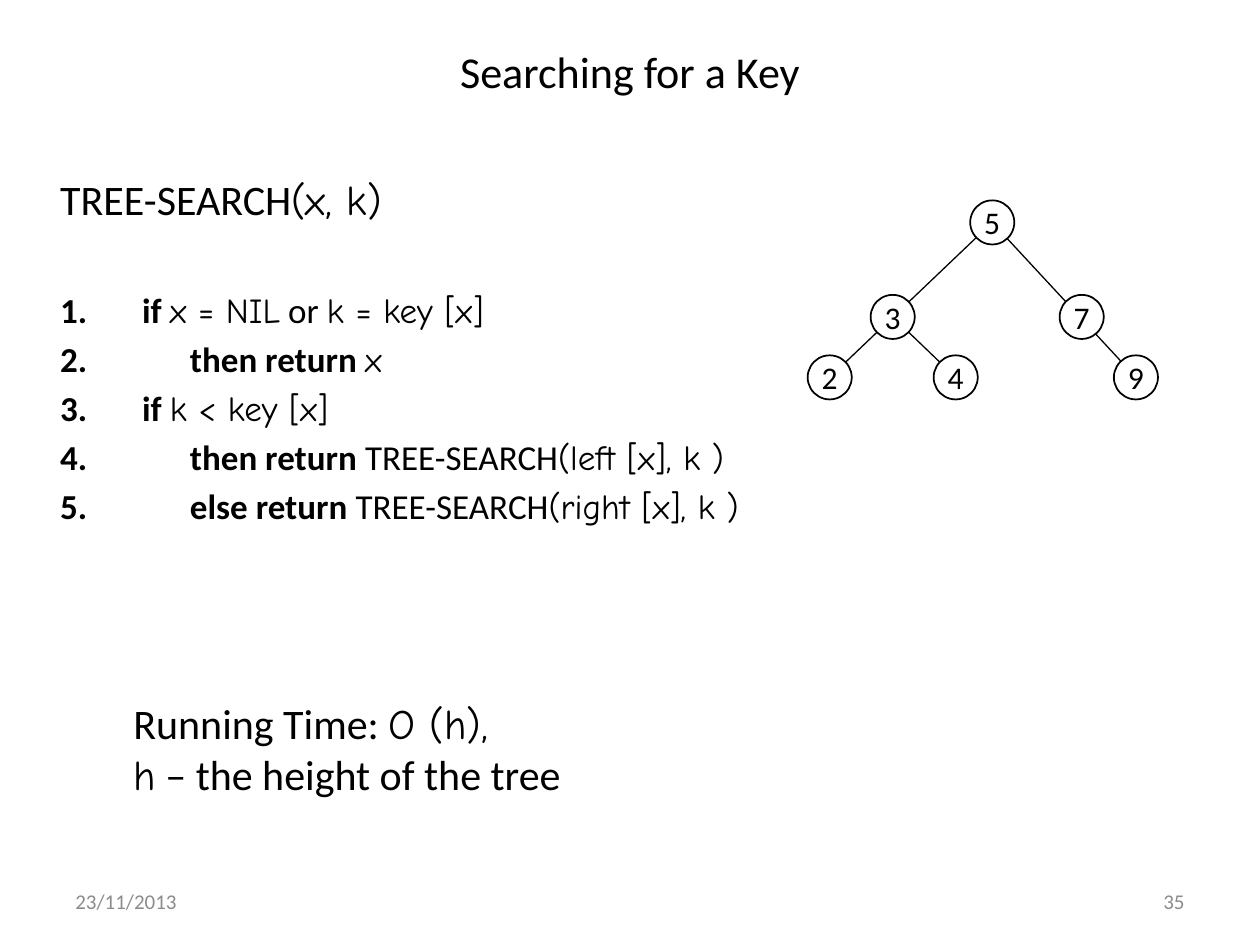
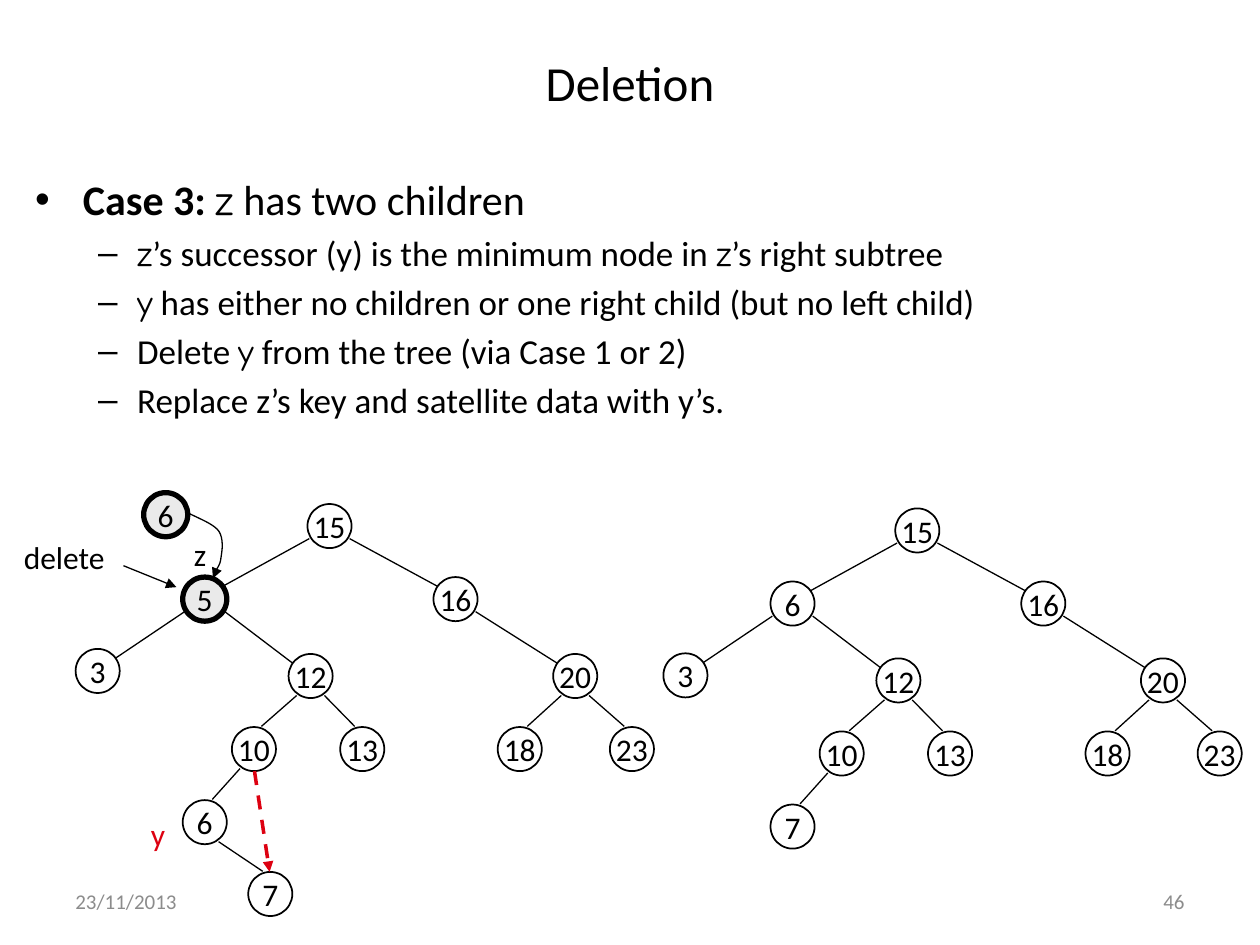
from lxml import etree
from pptx import Presentation
from pptx.dml.color import RGBColor
from pptx.enum.dml import MSO_LINE
from pptx.enum.shapes import MSO_CONNECTOR, MSO_SHAPE
from pptx.enum.text import MSO_ANCHOR, PP_ALIGN
from pptx.oxml.ns import qn
from pptx.util import Inches, Pt

LEFT, CENTER, RIGHT = PP_ALIGN.LEFT, PP_ALIGN.CENTER, PP_ALIGN.RIGHT
TOP, MIDDLE = MSO_ANCHOR.TOP, MSO_ANCHOR.MIDDLE
OVAL, STRAIGHT, DASH = MSO_SHAPE.OVAL, MSO_CONNECTOR.STRAIGHT, MSO_LINE.DASH

SANS, HAND = "Calibri", "Comic Neue"
BLACK, WHITE, GREY, PALE, RED = "000000", "FFFFFF", "8C8C8C", "EAEAEA", "DD0111"
COLUMNS, ROWS = 100, 75
NODE = 3.5


def color(value):
    """Turn a hex string into a colour."""
    return RGBColor.from_string(value)


def bold(text):
    """Mark a span as bold."""
    return text, SANS, True


def hand(text):
    """Mark a span as handwritten."""
    return text, HAND, False


class Deck:
    """Hold the shared style and the current slide, on a 100 by 75 grid."""

    def __init__(self):
        """Start an empty deck."""
        self.deck = Presentation()
        self.deck.slide_width, self.deck.slide_height = Inches(10), Inches(7.5)

    def x(self, columns):
        """Convert columns to a length."""
        return round(self.deck.slide_width * columns / COLUMNS)

    def y(self, rows):
        """Convert rows to a length."""
        return round(self.deck.slide_height * rows / ROWS)

    def page(self, title, number, size, height):
        """Add a slide with its title, date and number."""
        self.shapes = self.deck.slides.add_slide(self.deck.slide_layouts[6]).shapes
        for left, text, align in ((5, "23/11/2013", LEFT), (71.7, number, RIGHT)):
            box = self.box(left, 69.5, 23.3, 4, MIDDLE)
            self.para(box, [text], 12, GREY, align=align)
        self.para(self.box(5, 3, 90, height, MIDDLE), [title], size, align=CENTER)

    def box(self, left, top, width, height, anchor=TOP, wrap=True):
        """Add an empty text box and return its frame."""
        frame = self.shapes.add_textbox(
            self.x(left), self.y(top), self.x(width), self.y(height)).text_frame
        frame.word_wrap, frame.vertical_anchor = wrap, anchor
        return frame

    def para(self, frame, spans, size, ink=BLACK, align=LEFT, before=0,
             bullet=None, margin=0, hang=0):
        """Add a paragraph made of plain strings and marked spans."""
        para = frame.paragraphs[0]
        if para.runs:
            para = frame.add_paragraph()
        para.alignment, para.space_before = align, Pt(before)
        if bullet:
            props = para._p.get_or_add_pPr()
            props.set("marL", str(self.x(margin)))
            props.set("indent", str(-self.x(hang)))
            if bullet == "1.":
                etree.SubElement(props, qn("a:buAutoNum"), type="arabicPeriod")
            else:
                etree.SubElement(props, qn("a:buFont"), typeface="Arial")
                etree.SubElement(props, qn("a:buChar"), char=bullet)
        para.font.size, para.font.color.rgb = Pt(size), color(ink)
        spans = [(span, SANS, False) if isinstance(span, str) else span for span in spans]
        fonts = {font for _, font, _ in spans}
        if len(fonts) == 1:
            para.font.name = fonts.pop()
        for text, font, heavy in spans:
            span = para.add_run()
            span.text = text
            if fonts:
                span.font.name = font
            if heavy:
                span.font.bold = True

    def label(self, left, top, width, text, ink=BLACK):
        """Add a short label beside a node."""
        self.para(self.box(left, top, width, 4, wrap=False), [text], 18, ink)

    def stroke(self, shape, ink, width, dash=None, arrow=False):
        """Style the line of a shape or connector."""
        shape.line.color.rgb, shape.line.width = color(ink), Pt(width)
        if dash:
            shape.line.dash_style = dash
        if arrow:
            etree.SubElement(shape._element.spPr.find(qn("a:ln")),
                             qn("a:tailEnd"), type="triangle")

    def line(self, start, end, ink=BLACK, width=0.75, dash=None, arrow=False):
        """Draw a straight line between two grid points."""
        link = self.shapes.add_connector(STRAIGHT, self.x(start[0]), self.y(start[1]),
                                         self.x(end[0]), self.y(end[1]))
        self.stroke(link, ink, width, dash, arrow)
        etree.SubElement(link._element.spPr, qn("a:effectLst"))

    def curve(self, start, bends, steps=10):
        """Draw an arrow along joined cubic curves."""
        points, here = [], start
        for first, second, end in bends:
            for step in range(1, steps + 1):
                t = step / steps
                points.append(tuple(
                    (1 - t) ** 3 * a + 3 * t * (1 - t) ** 2 * b
                    + 3 * t * t * (1 - t) * c + t ** 3 * d
                    for a, b, c, d in zip(here, first, second, end)))
            here = end
        path = self.shapes.build_freeform(self.x(start[0]), self.y(start[1]), 1.0)
        path.add_line_segments([(self.x(a), self.y(b)) for a, b in points], close=False)
        shape = path.convert_to_shape()
        shape.shadow.inherit = False
        shape.fill.background()
        self.stroke(shape, BLACK, 0.75, arrow=True)

    def node(self, key, place, marked=False):
        """Draw one tree node."""
        shape = self.shapes.add_shape(OVAL, self.x(place[0]), self.y(place[1]),
                                      self.x(NODE), self.y(NODE))
        shape.shadow.inherit = False
        shape.fill.solid()
        shape.fill.fore_color.rgb = color(PALE if marked else WHITE)
        self.stroke(shape, BLACK, 3 if marked else 1)
        frame = shape.text_frame
        frame.word_wrap, frame.vertical_anchor = False, MIDDLE
        self.para(frame, [key], 18, align=CENTER)

    def edge(self, parent, child, rim=True):
        """Join two nodes, at their rims or at their centres."""
        run = child[0] - parent[0]
        side = 1 if run > 0 else -1
        out, back = (0, 0), (0, 0)
        if rim:
            wide = abs(run) > 6
            out, back = ((1.6, 1), (1.4, 1)) if wide else ((1.1, 1.55), (0.6, 1.8))
        half = NODE / 2
        self.line((parent[0] + half + side * out[0], parent[1] + half + out[1]),
                  (child[0] + half - side * back[0], child[1] + half - back[1]))

    def tree(self, places, keys, edges, shift=(0, 0), marked=(), rim=True):
        """Draw the edges of a tree, then its nodes."""
        spots = {name: (places[name][0] + shift[0], places[name][1] + shift[1])
                 for name in keys}
        for parent, child in edges:
            if parent in spots and child in spots:
                self.edge(spots[parent], spots[child], rim)
        for name, key in keys.items():
            self.node(key, spots[name], name in marked)


def searching(deck):
    """Build the slide about searching."""
    deck.page("Searching for a Key", "35", 25.2, 5.3)
    body = deck.box(3.8, 13.3, 92.6, 55.5)
    deck.para(body, ["TREE-SEARCH", hand("(x, k)")], 24)
    steps = (
        (6.5, [bold("if "), hand("x = NIL"), " or ", hand("k = key [x]")]),
        (10.3, [bold("then return "), hand("x")]),
        (6.5, [bold("if "), hand("k < key [x]")]),
        (10.3, [bold("then return "), "TREE-SEARCH", hand("(left [x], k )")]),
        (10.3, [bold("else return "), "TREE-SEARCH", hand("(right [x], k )")]),
    )
    for index, (margin, spans) in enumerate(steps):
        deck.para(body, spans, 20, before=4 if index else 36.5,
                  bullet="1.", margin=margin, hang=margin)
    cost = deck.box(9.6, 54.9, 76.1, 9)
    deck.para(cost, ["Running Time: ", hand("O (h),")], 24)
    deck.para(cost, [hand("h"), " – the height of the tree"], 24)
    places = {"5": (77, 15.9), "3": (69.1, 23.4), "7": (84.1, 23.4),
              "2": (64.1, 28.2), "4": (74.1, 28.2), "9": (88.4, 28.2)}
    deck.tree(places, {key: key for key in places}, ("52", "59", "34"), rim=False)


def deletion(deck):
    """Build the slide about deletion."""
    deck.page("Deletion", "46", 28, 7)
    body = deck.box(1.8, 13.3, 96.1, 55.5)
    deck.para(body, [bold("Case 3: "), hand("z"), " has two children"], 24,
              bullet="•", margin=3.8, hang=3.8)
    points = (
        [hand("z"), "’s successor (y) is the minimum node in ", hand("z"), "’s right subtree"],
        [hand("y"), " has either no children or one right child (but no left child)"],
        ["Delete ", hand("y"), " from the tree (via Case 1 or 2)"],
        ["Replace z’s key and satellite data with y’s."],
    )
    for spans in points:
        deck.para(body, spans, 20, before=4, bullet="–", margin=8.1, hang=3.1)

    places = {"root": (24.4, 40), "z": (14.5, 45.8), "16": (34.4, 45.8),
              "3": (6, 51.5), "12": (22.9, 51.9), "20": (43.9, 51.9),
              "10": (18.4, 57.7), "13": (27, 57.7), "18": (39.5, 57.7),
              "23": (48.4, 57.7), "y": (14.5, 63.5), "7": (19.7, 69.2)}
    edges = (("root", "z"), ("root", "16"), ("z", "3"), ("z", "12"), ("16", "20"),
             ("12", "10"), ("12", "13"), ("20", "18"), ("20", "23"),
             ("10", "y"), ("y", "7"))
    before = {name: name for name in places} | {"root": "15", "z": "5", "y": "6"}
    after = before | {"z": "6", "y": "7"}
    del after["7"]
    deck.tree(places, before, edges, marked=("z",))
    deck.tree(places, after, edges, shift=(46.65, 0.35))

    deck.label(0.9, 42.2, 8.8, "delete")
    deck.label(14.4, 42, 3.3, "z")
    deck.label(11, 64.2, 3.3, "y", RED)
    deck.line((9.8, 44.9), (14, 46.6), arrow=True)
    deck.line((20.2, 61.2), (21.4, 69.2), RED, 2, DASH, True)
    deck.node("6", (11.4, 39.1), True)
    deck.curve((14.9, 40.7), (((15.9, 41.2), (17, 41.6), (17.4, 42.2)),
                              ((17.8, 42.9), (17.6, 43.9), (17.5, 44.5)),
                              ((17.4, 45.1), (16.7, 45.7), (16.9, 45.9))))


def main():
    """Build and save the deck."""
    deck = Deck()
    searching(deck)
    deletion(deck)
    deck.deck.save("out.pptx")


if __name__ == "__main__":
    main()
